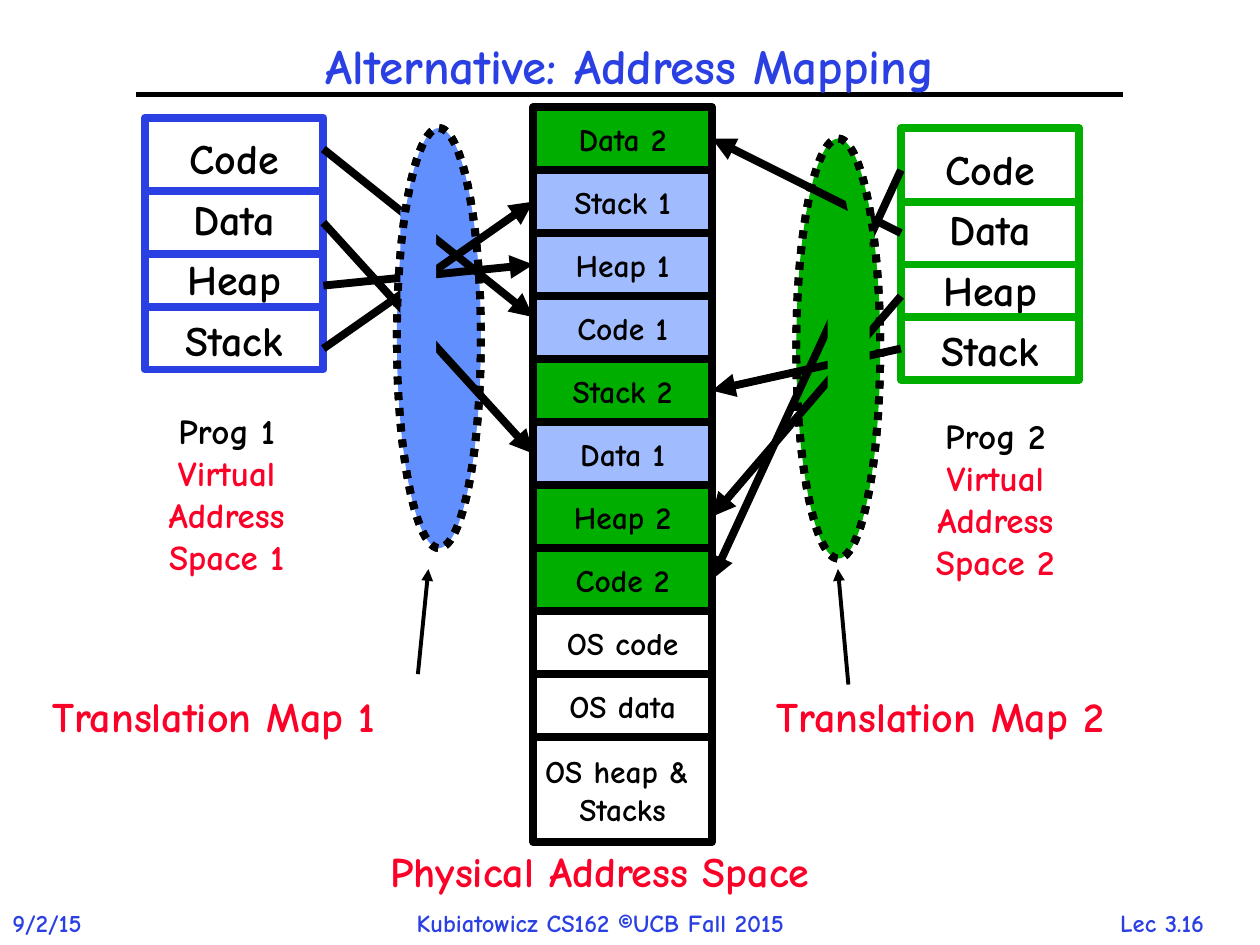
from dataclasses import dataclass

from pptx import Presentation
from pptx.dml.color import RGBColor
from pptx.enum.dml import MSO_LINE_DASH_STYLE as Dash
from pptx.enum.shapes import MSO_CONNECTOR as Connector, MSO_SHAPE as Shape
from pptx.enum.text import MSO_ANCHOR as Anchor, MSO_AUTO_SIZE as AutoSize, PP_ALIGN as Align
from pptx.oxml.ns import qn
from pptx.util import Pt


@dataclass(frozen=True)
class Theme:
    font: str = "Comic Neue"
    black: str = "000000"
    white: str = "FFFFFF"
    blue: str = "2A40E2"
    red: str = "FC0128"
    green: str = "00AE00"
    map_blue: str = "618FFD"
    page_blue: str = "A0BCFE"
    title: int = 28
    label: int = 24
    caption: int = 20
    cell: int = 18
    footer: int = 14
    heavy: float = 4.5
    rule: float = 3
    pointer: float = 2.25


class SlideBuilder:
    def __init__(self, slide, theme):
        self.shapes = slide.shapes
        self.theme = theme

    def set_lines(self, frame, lines, size, colors, align=Align.CENTER, spacing=None):
        """Fill a frame with one paragraph per line; the last color carries on."""
        for i, line in enumerate(lines):
            paragraph = frame.paragraphs[0] if i == 0 else frame.add_paragraph()
            paragraph.text = line
            paragraph.alignment = align
            if spacing:
                paragraph.line_spacing = spacing
            font = paragraph.font
            font.name, font.size, font.bold = self.theme.font, Pt(size), True
            font.color.rgb = RGBColor.from_string(colors[min(i, len(colors) - 1)])

    def text(self, box, lines, size, *colors, align=Align.LEFT):
        frame = self.shapes.add_textbox(*map(Pt, box)).text_frame
        frame.word_wrap = False
        frame.auto_size = AutoSize.SHAPE_TO_FIT_TEXT
        self.set_lines(frame, lines, size, colors, align)

    def title(self, box, line):
        frame = self.shapes.add_textbox(*map(Pt, box)).text_frame
        frame.word_wrap = True
        frame.vertical_anchor = Anchor.MIDDLE
        self.set_lines(frame, [line], self.theme.title, [self.theme.blue], spacing=0.9)

    def shape(self, kind, box, fill=None, outline=None, dash=None, rotation=0):
        shape = self.shapes.add_shape(kind, *map(Pt, box))
        shape.shadow.inherit = False
        shape.rotation = rotation
        if fill:
            shape.fill.solid()
            shape.fill.fore_color.rgb = RGBColor.from_string(fill)
        else:
            shape.fill.background()
        if outline:
            shape.line.color.rgb = RGBColor.from_string(outline)
            shape.line.width = Pt(self.theme.heavy)
            if dash:
                shape.line.dash_style = dash
        else:
            shape.line.fill.background()
        return shape

    def cell(self, box, lines, fill, outline, size, spacing=None):
        frame = self.shape(Shape.RECTANGLE, box, fill, outline).text_frame
        frame.word_wrap = False
        frame.vertical_anchor = Anchor.MIDDLE
        self.set_lines(frame, lines, size, [self.theme.black], spacing=spacing)

    def ellipse(self, box, fill=None):
        self.shape(Shape.OVAL, box, fill, self.theme.black, Dash.ROUND_DOT)

    def patch(self, box, fill, rotation=0):
        self.shape(Shape.RECTANGLE, box, fill, rotation=rotation)

    def line(self, start, end, color, width, arrow=False):
        line = self.shapes.add_connector(Connector.STRAIGHT, *map(Pt, (*start, *end)))
        line.line.color.rgb = RGBColor.from_string(color)
        line.line.width = Pt(width)
        properties = line._element.spPr
        if arrow:
            outline = properties.find(qn("a:ln"))
            outline.append(outline.makeelement(qn("a:tailEnd"), {"type": "triangle"}))
        properties.append(properties.makeelement(qn("a:effectLst"), {}))


def main():
    theme = Theme()
    deck = Presentation()
    deck.slide_width, deck.slide_height = Pt(720), Pt(540)
    page = SlideBuilder(deck.slides.add_slide(deck.slide_layouts[6]), theme)

    # Footer and title rule
    page.text((620.6, 515.5, 87, 24), ["Lec 3.16"], theme.footer, theme.blue, align=Align.CENTER)
    page.text((0, 515.5, 63.4, 24), ["9/2/15"], theme.footer, theme.blue)
    page.text((231, 515.5, 260, 24), ["Kubiatowicz CS162 ©UCB Fall 2015"], theme.footer, theme.blue)
    page.line((78, 54), (642, 54), theme.black, theme.rule)

    # Translation maps, below the arrows
    map_1, map_2 = (226.8, 73.2, 48, 240), (455, 79.2, 48, 240)
    page.ellipse(map_2, theme.green)
    page.ellipse(map_1, theme.map_blue)

    page.title((0, 18, 720, 42), "Alternative: Address Mapping")

    # Virtual address spaces
    segments = ["Code", "Data", "Heap", "Stack"]
    space_width = 102
    space_1, space_2 = 82.8, 514.8
    spaces = [
        (1, space_1, 67.2, theme.blue, 82, 230.4),
        (2, space_2, 73.2, theme.green, 521.3, 233.3),
    ]
    for number, left, top, color, caption_left, caption_top in spaces:
        page.text((caption_left, caption_top, 95, 104.4),
                  [f"Prog {number}", "Virtual", "Address", f"Space {number}"],
                  theme.caption, theme.black, theme.red, align=Align.CENTER)
        page.cell((left, top, space_width, 144), segments, theme.white, color,
                  theme.label, spacing=1.2)
        for offset in (42, 78, 108):
            page.line((left, top + offset), (left + space_width, top + offset),
                      color, theme.heavy)

    # Physical address space
    memory_left, memory_top, row = 304.8, 61.2, 36
    slots = ["Data 2", "Stack 1", "Heap 1", "Code 1", "Stack 2", "Data 1",
             "Heap 2", "Code 2", "OS code", "OS data"]
    owner_fill = {"1": theme.page_blue, "2": theme.green}
    for i, slot in enumerate(slots):
        page.cell((memory_left, memory_top + i * row, space_width, row), [slot],
                  owner_fill.get(slot[-1], theme.white), theme.black, theme.cell)
    page.cell((memory_left, memory_top + len(slots) * row, space_width, 60),
              ["OS heap & ", "Stacks"], theme.white, theme.black, theme.cell)

    # Mapping arrows: each segment to its physical slot
    mappings = [
        (1, space_1 + space_width, memory_left, (85.2, 127.2, 163.2, 199.2)),
        (2, space_2, memory_left + space_width, (97.2, 133.2, 169.2, 199.2)),
    ]
    nudges = {"Code 1": -6}
    for number, start_x, end_x, starts in mappings:
        for segment, start_y in zip(segments, starts):
            slot = f"{segment} {number}"
            end_y = memory_top + (slots.index(slot) + 0.5) * row + nudges.get(slot, 0)
            page.line((start_x, start_y), (end_x, end_y), theme.black, theme.heavy, arrow=True)

    # Patches that hide the arrows inside the maps, with the outlines on top
    page.patch((228.8, 120, 20.4, 108), theme.map_blue)
    page.ellipse(map_1)
    page.patch((473, 133.2, 24, 114), theme.green)
    page.patch((484.8, 103.2, 12, 36), theme.green, rotation=348.5)
    page.ellipse(map_2)

    # Map labels and pointers
    page.text((22.8, 391.2, 227, 36), ["Translation Map 1"], theme.label, theme.red)
    page.text((436.8, 391.2, 227, 36), ["Translation Map 2"], theme.label, theme.red)
    page.line((238.8, 385.2), (244.8, 325.2), theme.black, theme.pointer, arrow=True)
    page.line((484.8, 391.2), (478.8, 325.2), theme.black, theme.pointer, arrow=True)
    page.text((216, 479.5, 294, 36.5), ["Physical Address Space"], theme.label, theme.red)

    deck.save("out.pptx")


if __name__ == "__main__":
    main()
